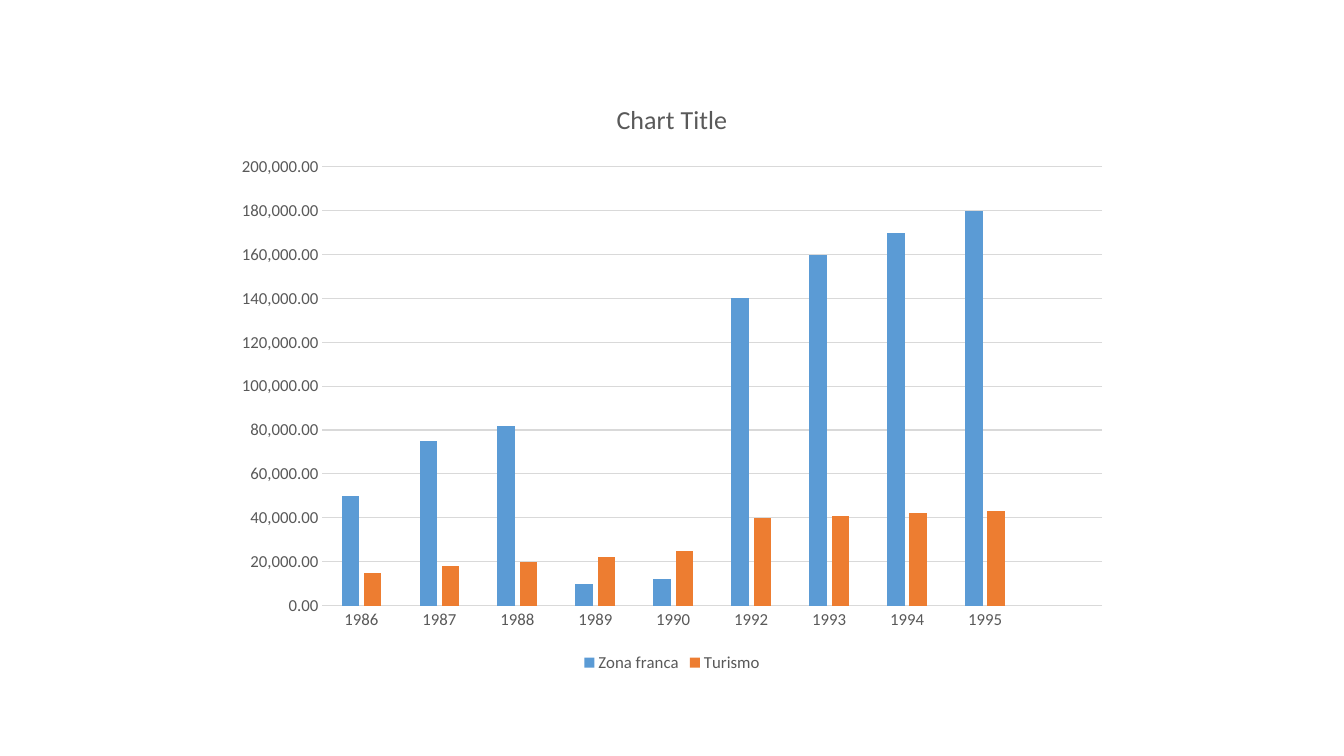
"""Build a slide with a column chart of free zone and tourism by year."""
from dataclasses import dataclass

from pptx import Presentation
from pptx.chart.chart import Chart
from pptx.chart.data import CategoryChartData as Data
from pptx.dml.color import RGBColor
from pptx.enum.chart import XL_CHART_TYPE as Kind
from pptx.enum.chart import XL_LEGEND_POSITION as Place
from pptx.enum.chart import XL_TICK_MARK as Tick
from pptx.text.text import Font
from pptx.util import Pt

BLUE = RGBColor(0x5B, 0x9B, 0xD5)
ORANGE = RGBColor(0xED, 0x7D, 0x31)
GRAY = RGBColor(0x59, 0x59, 0x59)
PALE = RGBColor(0xD9, 0xD9, 0xD9)
FACE = "Calibri"
FORMAT = "#,##0.00"


@dataclass(frozen=True)
class Sector:
    name: str
    color: RGBColor
    values: tuple[int | None, ...]


YEARS = ("1986", "1987", "1988", "1989", "1990", "1992", "1993", "1994", "1995", "")
SECTORS = (
    Sector("Zona franca", BLUE,
           (50000, 75000, 82000, 10000, 12000, 140000, 160000, 170000, 180000, None)),
    Sector("Turismo", ORANGE,
           (15000, 18000, 20000, 22000, 25000, 40000, 41000, 42000, 43000, None)),
)


def style(font: Font, size: float) -> None:
    font.name = FACE
    font.size = Pt(size)
    font.bold = False
    font.color.rgb = GRAY


def add_title(chart: Chart, text: str) -> None:
    chart.has_title = True
    title = chart.chart_title
    title.include_in_layout = False
    run = title.text_frame.paragraphs[0].add_run()
    run.text = text
    style(run.font, 18.6)


def set_axes(chart: Chart) -> None:
    years, amount = chart.category_axis, chart.value_axis
    for axis in (years, amount):
        axis.major_tick_mark = Tick.NONE
        axis.minor_tick_mark = Tick.NONE
        style(axis.tick_labels.font, 12)
    amount.minimum_scale = 0
    amount.maximum_scale = 200000
    amount.major_unit = 20000
    amount.tick_labels.number_format = FORMAT
    amount.tick_labels.number_format_is_linked = False
    amount.format.line.fill.background()
    amount.has_major_gridlines = True
    for line in (years.format.line, amount.major_gridlines.format.line):
        line.color.rgb = PALE
        line.width = Pt(0.75)


def set_bars(chart: Chart) -> None:
    plot = chart.plots[0]
    plot.gap_width = 219
    plot.overlap = -27
    plot.vary_by_categories = False
    for series, sector in zip(plot.series, SECTORS):
        series.invert_if_negative = False
        series.format.fill.solid()
        series.format.fill.fore_color.rgb = sector.color


def add_legend(chart: Chart) -> None:
    chart.has_legend = True
    chart.legend.position = Place.BOTTOM
    chart.legend.include_in_layout = False
    style(chart.legend.font, 12)


def main() -> None:
    deck = Presentation()
    deck.slide_width, deck.slide_height = Pt(960), Pt(540)
    slide = deck.slides.add_slide(deck.slide_layouts[6])
    data = Data(number_format=FORMAT)
    data.categories = YEARS
    for sector in SECTORS:
        data.add_series(sector.name, sector.values)
    frame = slide.shapes.add_chart(
        Kind.COLUMN_CLUSTERED, Pt(160), Pt(56.7), Pt(640), Pt(426.7), data)
    chart = frame.chart
    style(chart.font, 10)
    add_title(chart, "Chart Title")
    set_axes(chart)
    set_bars(chart)
    add_legend(chart)
    deck.save("out.pptx")


if __name__ == "__main__":
    main()
